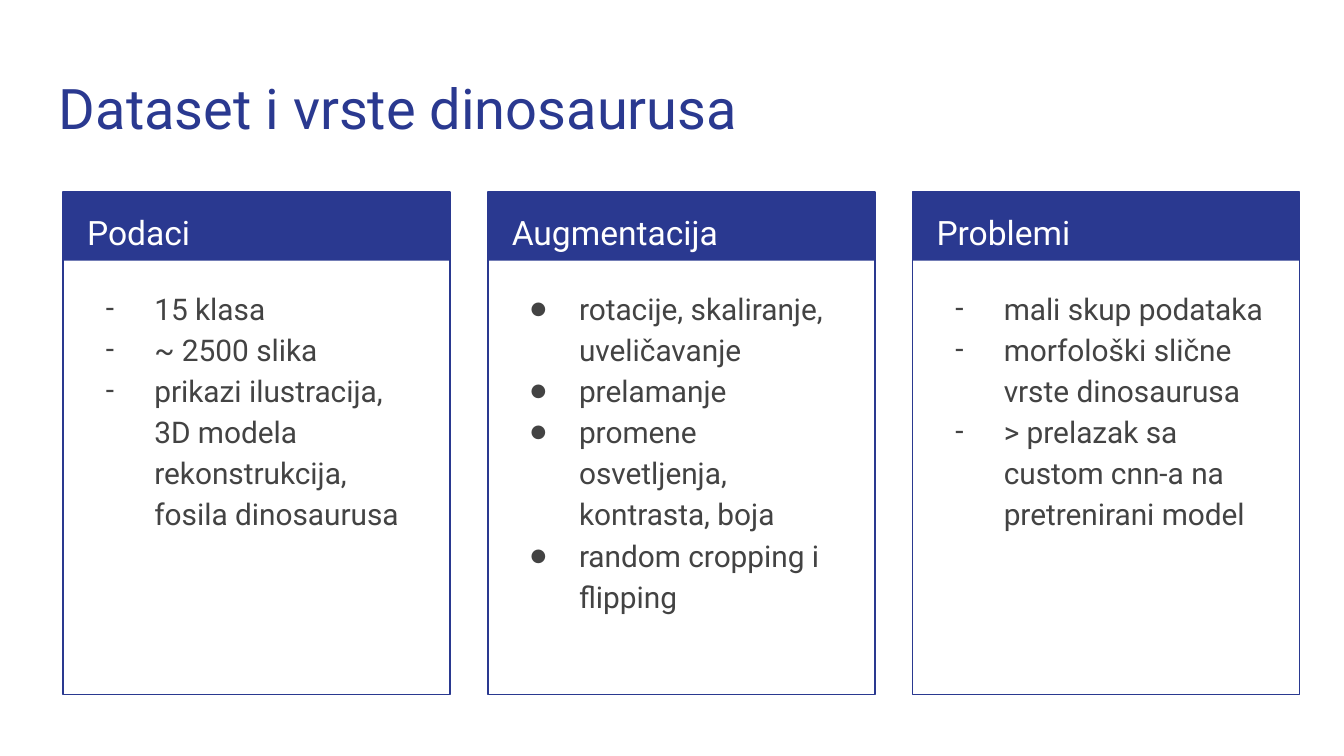
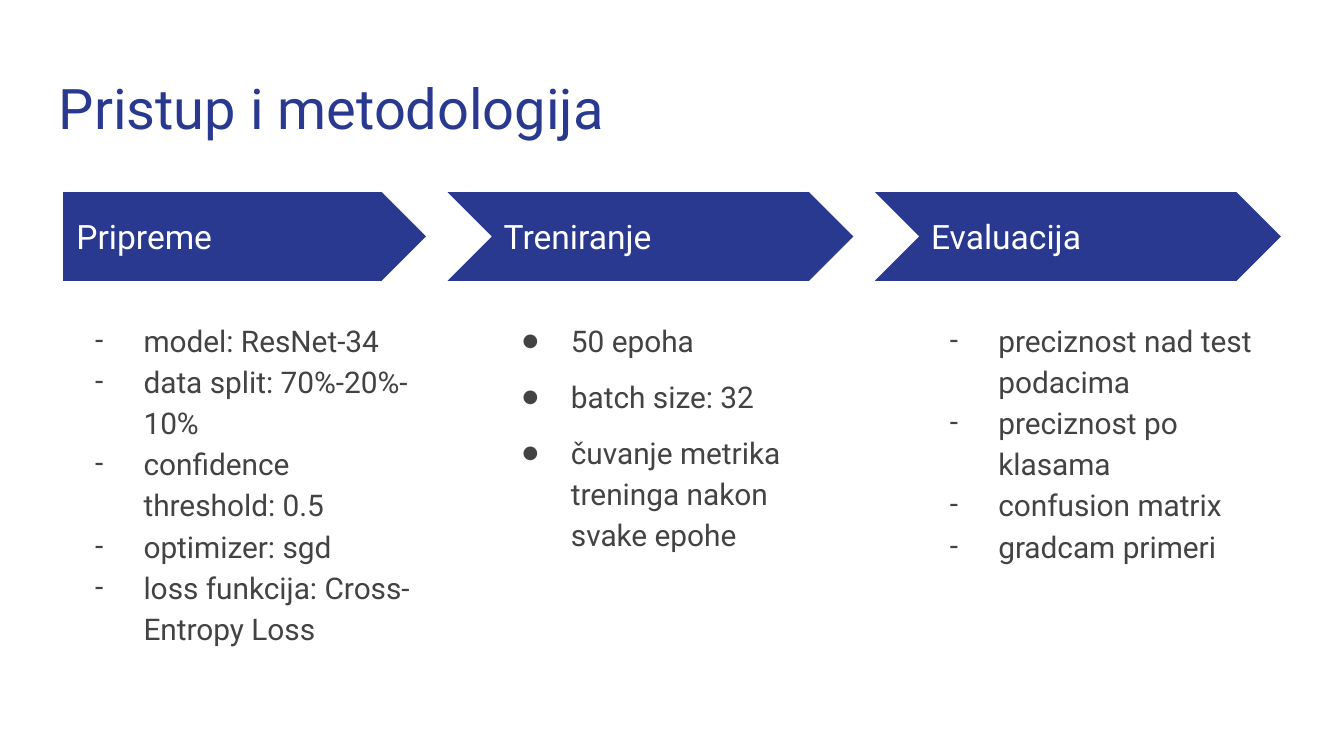
from pptx import Presentation
from pptx.dml.color import RGBColor
from pptx.enum.shapes import MSO_SHAPE
from pptx.enum.text import MSO_ANCHOR
from pptx.util import Inches, Pt
from lxml import etree

RECT, PLATE, CHEVRON = MSO_SHAPE.RECTANGLE, MSO_SHAPE.PENTAGON, MSO_SHAPE.CHEVRON
TOP, MIDDLE = MSO_ANCHOR.TOP, MSO_ANCHOR.MIDDLE
NAVY = RGBColor(0x2A, 0x39, 0x90)
GREY = RGBColor(0x43, 0x43, 0x43)
WHITE = RGBColor(0xFF, 0xFF, 0xFF)
FONT = "Roboto"
DASH, DOT = "-", "●"
SCALE = {DASH: "100000", DOT: "60000"}
NS = "{http://schemas.openxmlformats.org/drawingml/2006/main}"

# Shared grid, in inches
LEFT, ROW = 0.47, 1.43
CARD_W, CARD_H, CARD_STEP = 2.88, 3.74, 3.16
STEP_W, STEP_H, STEP_GAP, NOTCH = 2.7, 0.66, 3.18, 0.32

# Widescreen, 16 to 9
deck = Presentation()
deck.slide_width = Inches(10)
deck.slide_height = deck.slide_width * 9 // 16


def write(slide, box, lines, size, color, space=1.0, mark=None, gap=0, anchor=TOP):
    frame = slide.shapes.add_textbox(*map(Inches, box)).text_frame
    frame.word_wrap = True
    frame.vertical_anchor = anchor
    frame.margin_left = frame.margin_right = Inches(0.1)
    frame.margin_top = frame.margin_bottom = Inches(0.1)
    frame.text = "\n".join(lines)
    for i, para in enumerate(frame.paragraphs):
        para.line_spacing = space
        para.space_before = Pt(gap if i else 0)
        font = para.runs[0].font
        font.name, font.size, font.color.rgb = FONT, Pt(size), color
        if mark:
            props = para._p.get_or_add_pPr()
            props.set("marL", str(Inches(0.5)))
            props.set("indent", str(Inches(-0.36)))
            tint = etree.SubElement(props, NS + "buClr")
            etree.SubElement(tint, NS + "srgbClr", val=str(GREY))
            etree.SubElement(props, NS + "buSzPct", val=SCALE[mark])
            etree.SubElement(props, NS + "buFont", typeface=FONT)
            etree.SubElement(props, NS + "buChar", char=mark)


def block(slide, kind, box, solid=True):
    shape = slide.shapes.add_shape(kind, *map(Inches, box))
    shape.shadow.inherit = False
    if solid:
        shape.fill.solid()
        shape.fill.fore_color.rgb = NAVY
        shape.line.fill.background()
    else:
        shape.fill.background()
        shape.line.color.rgb = NAVY
        shape.line.width = Pt(0.75)
    return shape


# Both slides with their titles
pages = []
for title in ("Dataset i vrste dinosaurusa", "Pristup i metodologija"):
    page = deck.slides.add_slide(deck.slide_layouts[6])
    page.background.fill.solid()
    page.background.fill.fore_color.rgb = WHITE
    write(page, (0.34, 0.45, 9.32, 0.66), [title], 30, NAVY)
    pages.append(page)
data, method = pages

# Slide 1: three cards
cards = [
    ("Podaci", DASH, ["15 klasa", "~ 2500 slika",
     "prikazi ilustracija, 3D modela rekonstrukcija, fosila dinosaurusa"]),
    ("Augmentacija", DOT, ["rotacije, skaliranje, uveličavanje", "prelamanje",
     "promene osvetljenja, kontrasta, boja", "random cropping i flipping"]),
    ("Problemi", DASH, ["mali skup podataka", "morfološki slične vrste dinosaurusa",
     "> prelazak sa custom cnn-a na pretrenirani model"]),
]
for i, (head, mark, items) in enumerate(cards):
    x = LEFT + i * CARD_STEP
    block(data, RECT, (x, ROW, CARD_W, 0.51))
    block(data, RECT, (x, ROW, CARD_W, CARD_H), solid=False)
    write(data, (x + 0.08, ROW, 2.73, 0.5), [head], 18, WHITE, 1.15)
    write(data, (x + 0.08, 2.02, 2.71, 3.06), items, 16, GREY, 1.15, mark)

# Slide 2: three steps, the first with a flat left side
steps = [
    ("Pripreme", DASH, 0, ["model: ResNet-34", "data split: 70%-20%-10%",
     "confidence threshold: 0.5", "optimizer: sgd",
     "loss funkcija: Cross-Entropy Loss"]),
    ("Treniranje", DOT, 8, ["50 epoha", "batch size: 32",
     "čuvanje metrika treninga nakon svake epohe"]),
    ("Evaluacija", DASH, 0, ["preciznost nad test podacima",
     "preciznost po klasama", "confusion matrix", "gradcam primeri"]),
]
for i, (head, mark, gap, items) in enumerate(steps):
    x = LEFT + i * STEP_GAP
    notch = NOTCH if i else 0
    arrow = block(method, CHEVRON if i else PLATE,
                  (x - notch, ROW, STEP_W + notch, STEP_H))
    arrow.adjustments[0] = 0.5
    write(method, (x, 1.59, 2.47, 0.34), [head], 18, WHITE, anchor=MIDDLE)
    write(method, (x, 2.26, STEP_W, 2.9), items, 16, GREY, 1.15, mark, gap)

deck.save("out.pptx")
